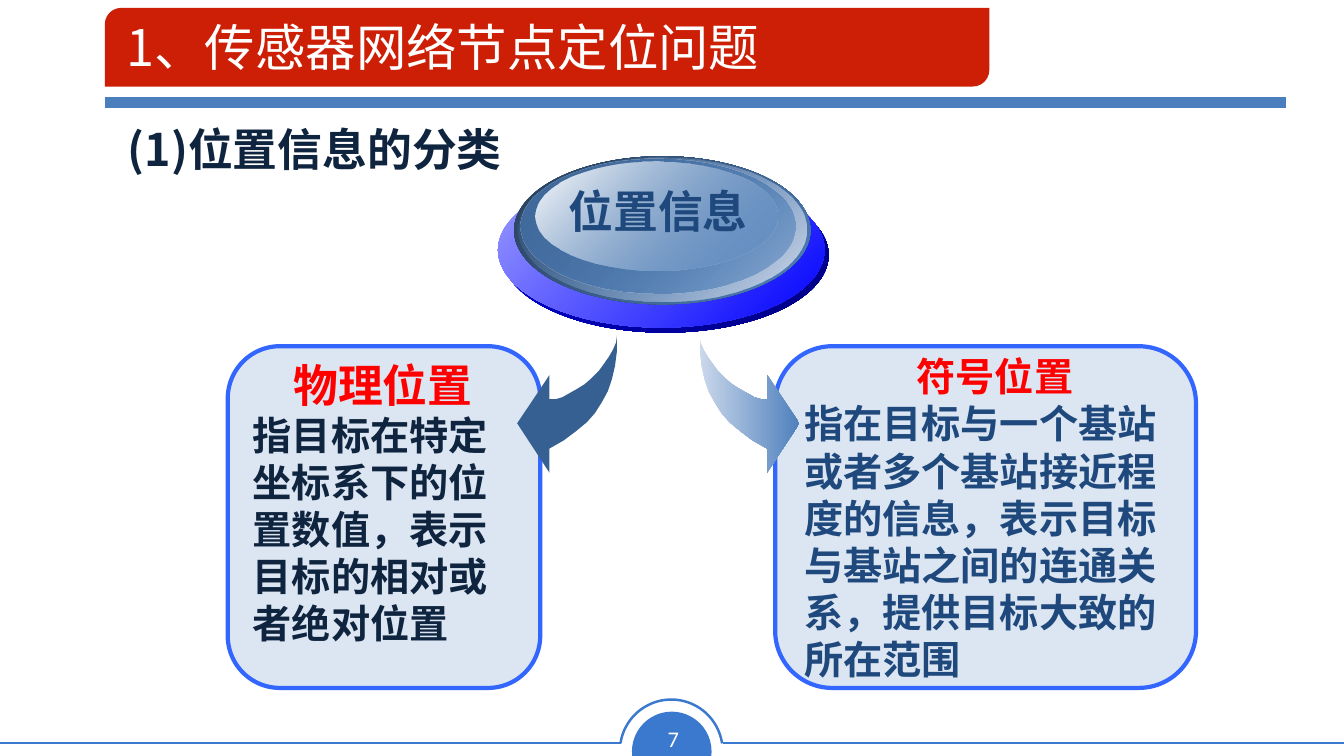
from lxml.etree import SubElement
from pptx import Presentation
from pptx.dml.color import RGBColor
from pptx.enum.shapes import MSO_CONNECTOR, MSO_SHAPE as SHAPE
from pptx.enum.text import MSO_ANCHOR, PP_ALIGN as ALIGN
from pptx.oxml.ns import qn
from pptx.util import Pt

CJK = "Noto Sans CJK SC"
BLUE, ACCENT, NAVY, RED, WHITE = "3B79CE", "4F81BD", "0F243E", "FF0000", "FFFFFF"
LEFT, CENTER = ALIGN.LEFT, ALIGN.CENTER


def paint(shape, fill=None, line=None, width=0, angle=45):
    """Fill with a hex string, or with a list of (position, hex, opacity) stops."""
    shape.shadow.inherit = False
    if isinstance(fill, list):
        shape.fill.background()
        no_fill = shape.element.spPr.find(qn("a:noFill"))
        gradient = no_fill.makeelement(qn("a:gradFill"), {"rotWithShape": "1"})
        no_fill.getparent().replace(no_fill, gradient)
        stops = SubElement(gradient, qn("a:gsLst"))
        for position, color, opacity in fill:
            stop = SubElement(stops, qn("a:gs"), pos=str(position * 1000))
            tint = SubElement(stop, qn("a:srgbClr"), val=color)
            SubElement(tint, qn("a:alpha"), val=str(opacity * 1000))
        SubElement(gradient, qn("a:lin"), ang=str(angle * 60000), scaled="0")
    elif fill:
        shape.fill.solid()
        shape.fill.fore_color.rgb = RGBColor.from_string(fill)
    else:
        shape.fill.background()
    if line:
        shape.line.color.rgb = RGBColor.from_string(line)
        shape.line.width = Pt(width)
    else:
        shape.line.fill.background()


def write(frame, paragraphs, wrap=True, anchor=MSO_ANCHOR.TOP):
    """Write paragraphs given as (text, size, color, bold, alignment, font)."""
    frame.word_wrap = wrap
    frame.vertical_anchor = anchor
    for index, (text, size, color, bold, align, face) in enumerate(paragraphs):
        paragraph = frame.add_paragraph() if index else frame.paragraphs[0]
        paragraph.alignment = align
        run = paragraph.add_run()
        run.text = text
        for name, value in {"size": Pt(size), "bold": bold, "name": face}.items():
            setattr(run.font, name, value)
        run.font.color.rgb = RGBColor.from_string(color)
        SubElement(run.font._element, qn("a:ea"), typeface=face)


deck = Presentation()
deck.slide_width, deck.slide_height = Pt(960), Pt(540)
slide = deck.slides.add_slide(deck.slide_layouts[5])
shapes = slide.shapes

# Footer and header decoration
page_disc = shapes.add_shape(SHAPE.CHORD, Pt(451.4), Pt(508.3), Pt(56.9), Pt(56.9))
page_disc.adjustments[0], page_disc.adjustments[1] = 35.772, 153.29
page_disc.rotation = 112.4
paint(page_disc, BLUE)

page_arc = shapes.add_shape(SHAPE.ARC, Pt(442.8), Pt(499.7), Pt(73.4), Pt(73.4))
page_arc.adjustments[0], page_arc.adjustments[1] = 113.17, 210.975
paint(page_arc, line=BLUE, width=1.77)

for start, end, y, color, width in [
    (516.2, 960, 530.6, BLUE, 1.77),
    (0, 443.5, 530.6, BLUE, 1.77),
    (74.9, 918.7, 73.4, "4B7EBC", 8),
]:
    rule = shapes.add_connector(MSO_CONNECTOR.STRAIGHT, Pt(start), Pt(y), Pt(end), Pt(y))
    rule.line.color.rgb = RGBColor.from_string(color)
    rule.line.width = Pt(width)
    SubElement(rule.element.spPr, qn("a:effectLst"))

banner = shapes.add_shape(
    SHAPE.ROUND_2_DIAG_RECTANGLE, Pt(74.9), Pt(5.6), Pt(631.8), Pt(56.2))
banner.adjustments[0] = 0.209
paint(banner, "CD1F06")

title = shapes.title
title.left, title.top, title.width, title.height = Pt(83.2), Pt(6.5), Pt(833), Pt(53.3)
write(title.text_frame, [("1、传感器网络节点定位问题", 36, WHITE, False, LEFT, CJK)],
      anchor=MSO_ANCHOR.MIDDLE)
title.element.getparent().append(title.element)  # in front of the banner

# Cards for the two kinds of position
for left, width in [(553.7, 300.6), (162.7, 223.2)]:
    card = shapes.add_shape(
        SHAPE.ROUNDED_RECTANGLE, Pt(left), Pt(247.3), Pt(width), Pt(244.1))
    card.adjustments[0] = 0.167
    paint(card, "DCE6F2", "3366FF", 3)

# Curved arrows, mirrored about the same axis
arrow_outline = [
    (0, 0), (0, 10.8), (1.4, 21.6), (3.6, 31), (6.5, 39.6), (10.8, 47.5),
    (15.8, 55.4), (21.6, 61.9), (29.5, 68.4), (38.2, 74.9), (48.2, 80.6),
    (48.2, 97.9), (71.3, 62.6), (48.2, 28.1), (48.2, 45.4), (43.9, 45.4),
    (38.9, 43.9), (33.8, 41), (28.8, 38.2), (23, 34.6), (18, 30.2),
    (13, 25.2), (9.4, 20.2), (5.8, 15.1), (2.9, 10.1), (0.7, 5),
]
arrow_gradient = [(0, "CBD8EB", 100), (100, ACCENT, 100)]
for direction, fill in [(-1, "376092"), (1, arrow_gradient)]:
    points = [(Pt(470.2 + direction * (29.5 + x)), Pt(239.8 + y)) for x, y in arrow_outline]
    builder = shapes.build_freeform(*points[0])
    builder.add_line_segments(points[1:], close=True)
    paint(builder.convert_to_shape(), fill, angle=0)

# Layered button
for left, top, width, height, first, last in [
    (358.6, 126.7, 233.3, 110.9, ("0000DD", 100), ("000080", 100)),
    (355.7, 123.1, 233.3, 110.9, ("9C9CFF", 100), ("0000FF", 100)),
    (367.2, 111.6, 211.7, 105.8, ("263D5A", 100), (ACCENT, 100)),
    (370.1, 112.3, 205.9, 103, (ACCENT, 0), ("D7DEEB", 100)),
    (371.5, 113, 196.6, 96.5, ("416B9D", 100), (ACCENT, 48)),
    (382.3, 115.2, 172.8, 77.8, ("FFFFFF", 100), (ACCENT, 38)),
]:
    layer = shapes.add_shape(SHAPE.OVAL, Pt(left), Pt(top), Pt(width), Pt(height))
    paint(layer, [(0, *first), (100, *last)])

# Labels and descriptions
for left, top, width, height, wrap, paragraphs in [
    (464.4, 514.1, 33.1, 26.6, False, [("7", 16, WHITE, False, CENTER, "Calibri")]),
    (398.2, 127.4, 144, 46.1, False, [("位置信息", 32, "1F497D", True, CENTER, CJK)]),
    (84.2, 83.5, 290.2, 46.1, False, [("(1)位置信息的分类", 32, NAVY, True, LEFT, CJK)]),
    (173.5, 252, 200.2, 216, True, [
        ("物理位置", 32, RED, True, CENTER, CJK),
        ("指目标在特定坐标系下的位置数值，表示目标的相对或者绝对位置",
         28, NAVY, True, LEFT, CJK)]),
    (567.4, 248.4, 286.6, 244.8, True, [
        ("符号位置", 28, RED, True, CENTER, CJK),
        ("指在目标与一个基站或者多个基站接近程度的信息，表示目标与基站之间的连通关系，"
         "提供目标大致的所在范围", 28, "1F497D", True, LEFT, CJK)]),
]:
    label = shapes.add_textbox(Pt(left), Pt(top), Pt(width), Pt(height))
    write(label.text_frame, paragraphs, wrap)

deck.save("out.pptx")
